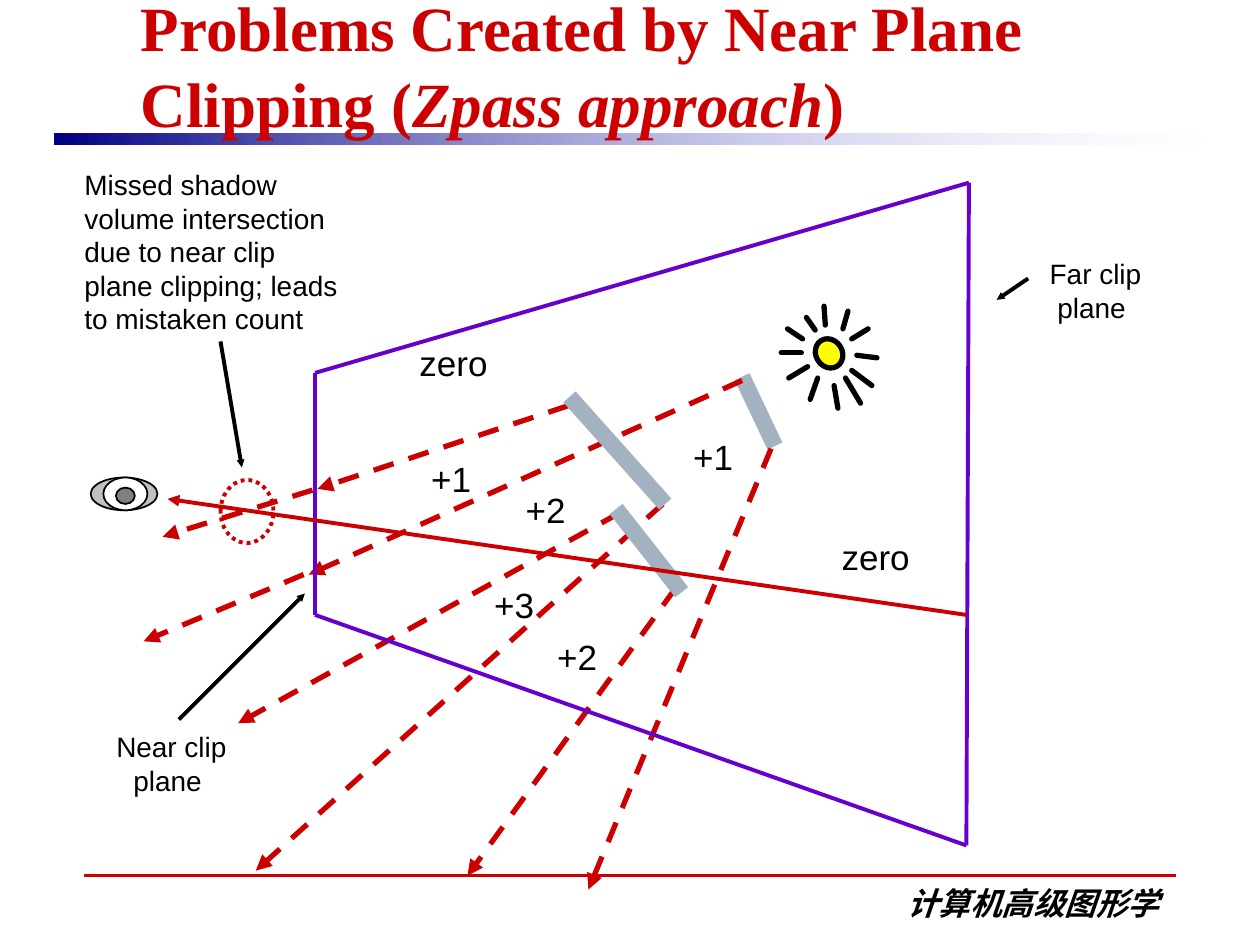
from dataclasses import dataclass

from lxml import etree
from pptx import Presentation
from pptx.dml.color import RGBColor
from pptx.enum.dml import MSO_LINE
from pptx.enum.shapes import MSO_CONNECTOR, MSO_SHAPE
from pptx.enum.text import MSO_ANCHOR, PP_ALIGN
from pptx.oxml.ns import qn
from pptx.util import Inches, Pt

STRAIGHT = MSO_CONNECTOR.STRAIGHT
OVAL, RECTANGLE = MSO_SHAPE.OVAL, MSO_SHAPE.RECTANGLE
DASH, DOT = MSO_LINE.DASH, MSO_LINE.ROUND_DOT
LEFT, CENTER, RIGHT = PP_ALIGN.LEFT, PP_ALIGN.CENTER, PP_ALIGN.RIGHT
TOP, BOTTOM = MSO_ANCHOR.TOP, MSO_ANCHOR.BOTTOM

COLORS = {
    "red": "CC0000", "black": "000000", "white": "FFFFFF", "purple": "6600CC",
    "steel": "A3B2C1", "yellow": "FFFF00", "silver": "C0C0C0", "gray": "808080",
    "navy": "000082", "lavender": "CCCCFF",
}


def rgb(name):
    return RGBColor.from_string(COLORS[name])


@dataclass
class Drawing:
    page: object
    font: str = "Arial"

    def text(self, place, spans, size, color="black", font=None, align=LEFT,
             anchor=TOP, inset=(0, 0), wrap=True, bold=False):
        """Add one paragraph; spans are (text, italic) pairs."""
        box = self.page.shapes.add_textbox(*map(Inches, place))
        frame = box.text_frame
        side, edge = map(Inches, inset)
        frame_format = {"margin_left": side, "margin_right": side, "margin_top": edge,
                        "margin_bottom": edge, "word_wrap": wrap,
                        "vertical_anchor": anchor}
        for name, value in frame_format.items():
            setattr(frame, name, value)
        para = frame.paragraphs[0]
        para.alignment = align
        for words, italic in spans:
            for index, part in enumerate(words.split("\n")):
                if index:
                    para.add_line_break()
                span = para.add_run()
                span.text = part
                span_format = {"name": font or self.font, "size": Pt(size),
                               "bold": bold, "italic": italic}
                for name, value in span_format.items():
                    setattr(span.font, name, value)
                span.font.color.rgb = rgb(color)
                east = etree.SubElement(span.font._element, qn("a:ea"))
                east.set("typeface", font or self.font)

    def line(self, start, end, color, width, dash=None, head=None, tail=None,
             round_cap=False):
        """Add a line; head and tail give the arrow size at start and end."""
        line = self.page.shapes.add_connector(STRAIGHT, *map(Inches, start + end))
        line.line.color.rgb = rgb(color)
        line.line.width = Pt(width)
        if dash:
            line.line.dash_style = dash
        outline = line.line._get_or_add_ln()
        if round_cap:
            outline.set("cap", "rnd")
        for tag, size in (("a:headEnd", head), ("a:tailEnd", tail)):
            if size:
                etree.SubElement(outline, qn(tag), type="triangle", w=size, len=size)
        etree.SubElement(line._element.spPr, qn("a:effectLst"))

    def shape(self, kind, place, fill=None, line=None, width=1, dash=None, turn=0):
        shape = self.page.shapes.add_shape(kind, *map(Inches, place))
        shape.shadow.inherit = False
        shape.rotation = turn
        if fill:
            shape.fill.solid()
            shape.fill.fore_color.rgb = rgb(fill)
        else:
            shape.fill.background()
        if line:
            shape.line.color.rgb = rgb(line)
            shape.line.width = Pt(width)
            if dash:
                shape.line.dash_style = dash
        else:
            shape.line.fill.background()
        return shape

    def fading_bar(self, place, start, end):
        fill = self.shape(RECTANGLE, place).fill
        fill.gradient()
        fill.gradient_angle = 0
        for stop, color in zip(fill.gradient_stops, (start, end)):
            stop.color.rgb = rgb(color)
        last = list(fill._fill._gradFill.iter(qn("a:srgbClr")))[-1]
        etree.SubElement(last, qn("a:alpha"), val="0")


def main():
    deck = Presentation()
    deck.slide_width, deck.slide_height = Inches(10), Inches(7.5)
    drawing = Drawing(deck.slides.add_slide(deck.slide_layouts[6]))

    # Footer, title bar and title
    drawing.line((0.67, 6.95), (9.33, 6.95), "red", 1.75)
    drawing.fading_bar((0.43, 1.06, 9.14, 0.09), "navy", "lavender")
    drawing.text((6.58, 6.97, 2.72, 0.4), [("计算机高级图形学", True)], 18,
                 font="Noto Sans CJK SC", align=RIGHT, inset=(0.1, 0.05), bold=True)
    title = [("Problems Created by Near Plane Clipping (", False),
             ("Zpass approach", True), (")", False)]
    drawing.text((1.02, -0.15, 8.98, 1.31), title, 36, "red", "Times New Roman",
                 anchor=BOTTOM, inset=(0.1, 0.05), bold=True)

    # Shadow counts
    counts = [("zero", 3.3, 2.71), ("zero", 6.65, 4.25), ("+1", 5.5, 3.46),
              ("+1", 3.42, 3.63), ("+2", 4.17, 3.88), ("+2", 4.42, 5.04),
              ("+3", 3.92, 4.63)]
    for words, left, top in counts:
        width = 0.6 if words == "zero" else 0.32
        drawing.text((left, top, width, 0.33), [(words, False)], 20,
                     align=CENTER, wrap=False)

    # Light source
    drawing.shape(OVAL, (6.46, 2.7, 0.24, 0.21), "yellow", "black", 3, turn=58.2)
    sunbeams = [
        ((6.76, 2.69), (6.89, 2.61)), ((6.41, 2.91), (6.26, 3)),
        ((6.8, 2.82), (6.96, 2.84)), ((6.76, 2.94), (6.92, 3.06)),
        ((6.49, 3), (6.43, 3.17)), ((6.62, 3.06), (6.65, 3.24)),
        ((6.69, 2.61), (6.73, 2.47)), ((6.55, 2.58), (6.54, 2.43)),
        ((6.36, 2.8), (6.2, 2.8)), ((6.37, 2.69), (6.25, 2.61)),
        ((6.71, 3), (6.83, 3.2)), ((6.47, 2.62), (6.4, 2.52)),
    ]
    for start, end in sunbeams:
        drawing.line(start, end, "black", 3, round_cap=True)

    # Occluders and shadow volume edges
    drawing.line((5.89, 2.99), (6.15, 3.54), "steel", 9.38)
    shadow_edges = [
        ((4.51, 3.22), (2.52, 3.88)), ((5.89, 3.02), (2.45, 4.56)),
        ((4.92, 4.07), (1.89, 5.74)), ((5.26, 4), (2.03, 6.91)),
        ((5.36, 4.67), (3.71, 6.95)), ((6.12, 3.56), (4.67, 7.06)),
    ]
    for start, end in shadow_edges:
        drawing.line(start, end, "red", 3, DASH, tail="med")
    for start, end in [((4.52, 3.15), (5.28, 4)), ((4.89, 4.04), (5.41, 4.7))]:
        drawing.line(start, end, "steel", 9.38)

    # Eye
    for place, fill in [((0.72, 3.79, 0.53, 0.26), "silver"),
                        ((0.82, 3.79, 0.35, 0.26), "white"),
                        ((0.92, 3.87, 0.15, 0.13), "gray")]:
        drawing.shape(OVAL, place, fill, "black")

    # View frustum
    corners = [(2.5, 2.96), (2.5, 4.88), (7.67, 6.71), (7.69, 1.45)]
    for start, end in zip(corners, corners[1:] + corners[:1]):
        drawing.line(start, end, "purple", 2.25)

    # View ray, clipped shadow edges and the missed intersection
    drawing.line((1.33, 3.96), (7.67, 4.88), "red", 2.25, head="med")
    for start, end in [((2.48, 3.89), (1.29, 4.26)), ((2.41, 4.56), (1.14, 5.09))]:
        drawing.line(start, end, "red", 3, DASH, tail="med")
    drawing.shape(OVAL, (1.75, 3.81, 0.42, 0.5), line="red", width=2.25, dash=DOT)

    # Callouts and their pointers
    for words, place in [("Near clip\nplane ", (0.92, 5.79, 0.88, 0.53)),
                         ("Far clip\nplane ", (8.33, 2.04, 0.73, 0.53))]:
        drawing.text(place, [(words, False)], 16, align=CENTER, wrap=False)
    missed = ("Missed shadow volume intersection due to near clip plane clipping; "
              "leads to mistaken count")
    drawing.text((0.67, 1.33, 2.08, 1.33), [(missed, False)], 16)
    for start, end in [((1.42, 5.71), (2.42, 4.71)), ((8.16, 2.21), (7.91, 2.38)),
                       ((1.75, 2.71), (1.92, 3.71))]:
        drawing.line(start, end, "black", 2.25, tail="sm")

    deck.save("out.pptx")


if __name__ == "__main__":
    main()
